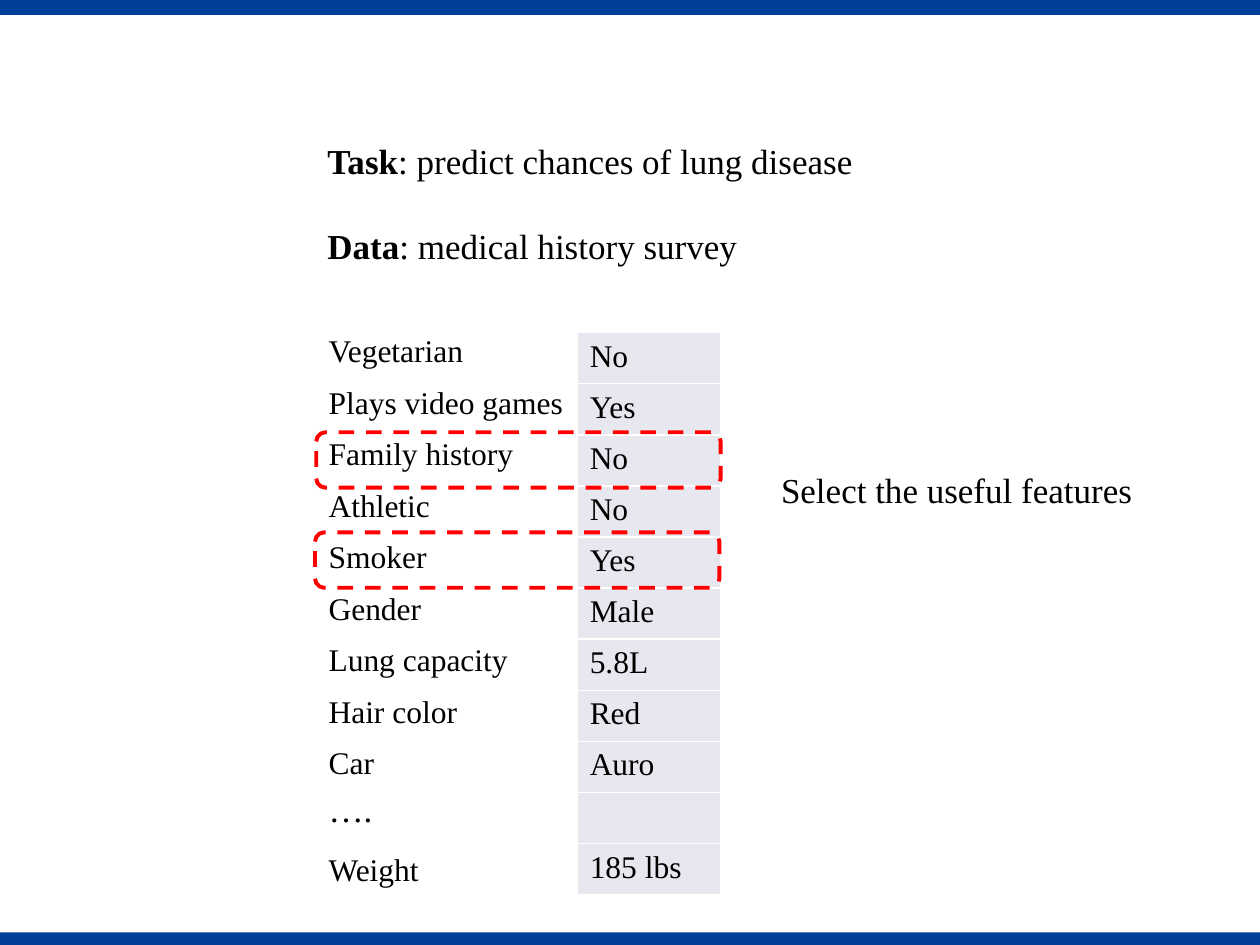
from dataclasses import dataclass

from lxml import etree
from pptx import Presentation
from pptx.dml.color import RGBColor
from pptx.enum.dml import MSO_LINE
from pptx.enum.shapes import MSO_SHAPE
from pptx.oxml.ns import qn
from pptx.util import Pt

RECTANGLE = MSO_SHAPE.RECTANGLE
ROUNDED_RECTANGLE = MSO_SHAPE.ROUNDED_RECTANGLE
DASH = MSO_LINE.DASH


@dataclass(frozen=True)
class Theme:
    font: str = "Times New Roman"
    heading_size: float = 20
    label_size: float = 18
    text: str = "000000"
    bar: str = "004098"
    cell: str = "E7E8EF"
    border: str = "FFFFFF"
    highlight: str = "FF0000"


THEME = Theme()
SLIDE_WIDTH, SLIDE_HEIGHT = 720, 540
LABEL_LEFT, LABEL_TOP, LABEL_PITCH = 180.7, 185.8, 29.42
TABLE_LEFT, TABLE_TOP, TABLE_WIDTH, ROW_HEIGHT = 329.8, 190.1, 82.1, 29.2

STATEMENTS = [
    ("Task", ": predict chances of lung disease"),
    ("Data", ": medical history survey"),
]
FEATURES = [
    "Vegetarian", "Plays video games", "Family history", "Athletic", "Smoker",
    "Gender", "Lung capacity", "Hair color", "Car",
]
ANSWERS = ["No", "Yes", "No", "No", "Yes", "Male", "5.8L", "Red", "Auro", "", "185 lbs"]


def style_paragraph(paragraph, size):
    font = paragraph.font
    font.name = THEME.font
    font.size = Pt(size)
    font.color.rgb = RGBColor.from_string(THEME.text)


def add_text(slide, text, left, top, width, size, height=28.8, wrap=False):
    frame = slide.shapes.add_textbox(Pt(left), Pt(top), Pt(width), Pt(height)).text_frame
    frame.word_wrap = wrap
    frame.text = text
    style_paragraph(frame.paragraphs[0], size)
    return frame


def add_bar(slide, top, height):
    bar = slide.shapes.add_shape(RECTANGLE, 0, Pt(top), Pt(SLIDE_WIDTH), Pt(height))
    bar.shadow.inherit = False
    bar.fill.solid()
    bar.fill.fore_color.rgb = RGBColor.from_string(THEME.bar)
    bar.line.fill.background()


def add_highlight(slide, left, top):
    frame = slide.shapes.add_shape(
        ROUNDED_RECTANGLE, Pt(left), Pt(top), Pt(231.1), Pt(31.7))
    frame.shadow.inherit = False
    frame.fill.background()
    frame.line.color.rgb = RGBColor.from_string(THEME.highlight)
    frame.line.width = Pt(2.25)
    frame.line.dash_style = DASH


def add_statements(slide):
    frame = add_text(slide, "", 180, 76.2, 360, THEME.heading_size, 104.4, True)
    for index, (term, description) in enumerate(STATEMENTS):
        paragraph = frame.add_paragraph() if index else frame.paragraphs[0]
        style_paragraph(paragraph, THEME.heading_size)
        paragraph.space_before = Pt(24.5 * index)
        term_run = paragraph.add_run()
        term_run.text = term
        term_run.font.bold = True
        paragraph.add_run().text = description


def add_borders(cell):
    properties = cell._tc.get_or_add_tcPr()
    for side in ("a:lnL", "a:lnR", "a:lnT", "a:lnB"):
        line = etree.SubElement(properties, qn(side), w=str(Pt(1)))
        fill = etree.SubElement(line, qn("a:solidFill"))
        etree.SubElement(fill, qn("a:srgbClr"), val=THEME.border)


def add_answers(slide):
    table = slide.shapes.add_table(
        len(ANSWERS), 1, Pt(TABLE_LEFT), Pt(TABLE_TOP),
        Pt(TABLE_WIDTH), Pt(ROW_HEIGHT * len(ANSWERS))).table
    table.first_row = False
    table.horz_banding = False
    for index, answer in enumerate(ANSWERS):
        table.rows[index].height = Pt(ROW_HEIGHT)
        cell = table.cell(index, 0)
        cell.text = answer
        style_paragraph(cell.text_frame.paragraphs[0], THEME.label_size)
        add_borders(cell)
        cell.fill.solid()
        cell.fill.fore_color.rgb = RGBColor.from_string(THEME.cell)


def add_features(slide):
    for index, feature in enumerate(FEATURES):
        top = LABEL_TOP + index * LABEL_PITCH
        add_text(slide, feature, LABEL_LEFT, top, 166, THEME.label_size)
    add_text(slide, "….", LABEL_LEFT, 446.4, 40, THEME.heading_size)
    add_text(slide, "Weight", LABEL_LEFT, 482.4, 67, THEME.label_size)


def main():
    presentation = Presentation()
    presentation.slide_width = Pt(SLIDE_WIDTH)
    presentation.slide_height = Pt(SLIDE_HEIGHT)
    slide = presentation.slides.add_slide(presentation.slide_layouts[6])
    add_bar(slide, 532.8, 7.2)
    add_bar(slide, 0, 8.6)
    add_statements(slide)
    add_answers(slide)
    add_features(slide)
    add_highlight(slide, 180.7, 247)
    add_highlight(slide, 180, 304.2)
    add_text(slide, "Select the useful features", 439.2, 264.2, 216.7,
             THEME.heading_size, 31.7)
    presentation.save("out.pptx")


if __name__ == "__main__":
    main()
